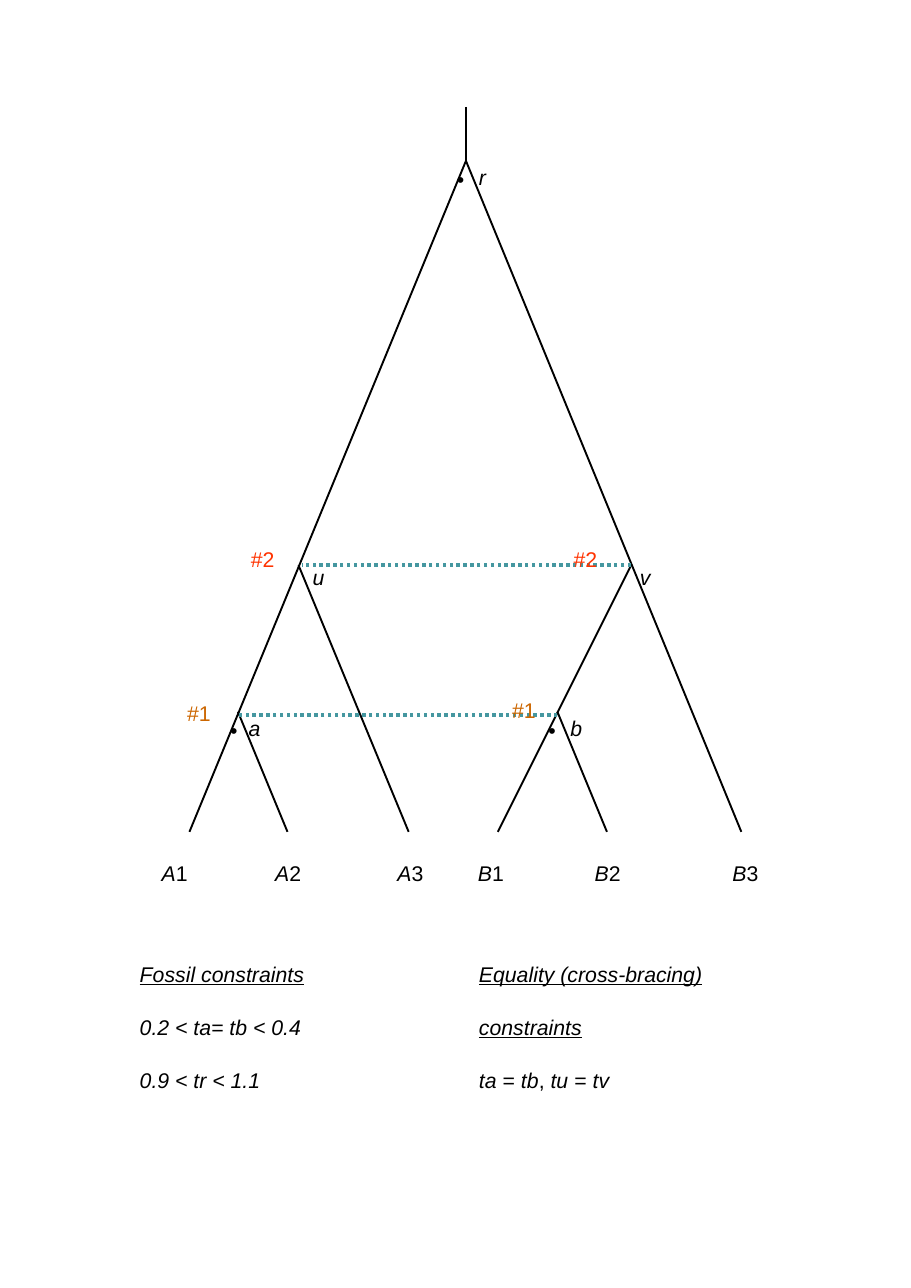
import pptx
import pptx.util
import pptx.dml.color
import pptx.enum.dml
import pptx.enum.shapes
import pptx.oxml

UNIT = pptx.util.Inches(1)  # one grid column or row
WIDE, HIGH = 8.27, 11.69
INK = {"black": "000000", "teal": "4597A0", "red": "FF3300", "brown": "CC6600"}

deck = pptx.Presentation()
deck.slide_width = int(WIDE * UNIT)
deck.slide_height = int(HIGH * UNIT)
slide = deck.slides.add_slide(deck.slide_layouts[6])


def write(text, col, row, wide=1.13, high=0.5, ink="black", heads=0):
    """Write lowered text; each "|" toggles italic, the first `heads` lines are underlined."""
    box = slide.shapes.add_textbox(*[int(n * UNIT) for n in (col, row, wide, high)])
    frame = box.text_frame
    frame.word_wrap = True
    for i, line in enumerate(text.split("\n")):
        para = frame.paragraphs[0] if i == 0 else frame.add_paragraph()
        for j, part in enumerate(line.split("|")):
            if not part:
                continue
            run = para.add_run()
            run.text = part
            font = run.font
            font.name = "Arial"
            font.size = pptx.util.Pt(24)
            font.italic = j % 2 == 0
            font.underline = i < heads
            font.color.rgb = pptx.dml.color.RGBColor.from_string(INK[ink])
            run._r.get_or_add_rPr().set("baseline", "-33000")


def draw(start, end, ink="black", weight=1.25, dash=None):
    ends = [int(n * UNIT) for n in (*start, *end)]
    line = slide.shapes.add_connector(pptx.enum.shapes.MSO_CONNECTOR.STRAIGHT, *ends)
    line.line.color.rgb = pptx.dml.color.RGBColor.from_string(INK[ink])
    line.line.width = pptx.util.Pt(weight)
    if dash:
        line.line.dash_style = dash
    line._element.spPr.append(pptx.oxml.parse_xml(
        '<a:effectLst xmlns:a="http://schemas.openxmlformats.org/drawingml/2006/main"/>'))


# Tree: the root stem, then each branch from its node down to a tip
root = (4.23, 1.46)
node = {"u": (2.71, 5.13), "v": (5.73, 5.13), "a": (2.16, 6.46), "b": (5.06, 6.46)}
tips = 7.55
draw((root[0], 0.97), root)
for start, tip in [(root, 1.72), (root, 6.73), (node["u"], 3.71),
                   (node["v"], 4.52), (node["a"], 2.61), (node["b"], 5.51)]:
    draw(start, (tip, tips))

# Dotted braces between nodes of equal age
dots = pptx.enum.dml.MSO_LINE.ROUND_DOT
for left, right, row in [(2.74, 5.73, 5.13), (2.15, 5.06, 6.49)]:
    draw((right, row), (left, row), ink="teal", weight=2.25, dash=dots)

# Tip names
for name, col in [("A|1", 1.37), ("A|2", 2.4), ("A|3", 3.51),
                  ("B|1", 4.24), ("B|2", 5.3), ("B|3", 6.55)]:
    write(name, col, 7.51, high=0.46)

# Brace tags
for tag, col, row, ink in [("|#1", 1.6, 6.06, "brown"), ("|#1", 4.55, 6.03, "brown"),
                           ("|#2", 5.11, 4.66, "red"), ("|#2", 2.18, 4.66, "red")]:
    write(tag, col, row, ink=ink)

# Node names and dots
for name, col, row in [("r", 4.25, 1.19), ("u", 2.74, 4.82), ("v", 5.71, 4.82),
                       ("a", 2.16, 6.19), ("b", 5.08, 6.19)]:
    write(name, col, row)
for col, row in [(4.05, 1.21), (1.99, 6.21), (4.88, 6.21)]:
    write("|•", col, row, wide=0.61)

# Constraints
write("Fossil constraints\n0.2 < ta= tb < 0.4\n0.9 < tr < 1.1",
      1.17, 8.42, wide=7.82 - 1.17, high=1.31, heads=1)
write("Equality (cross-bracing)\nconstraints\nta |= |tb|, |tu| = |tv",
      4.25, 8.42, wide=3.9, high=1.31, heads=2)

deck.save("out.pptx")
